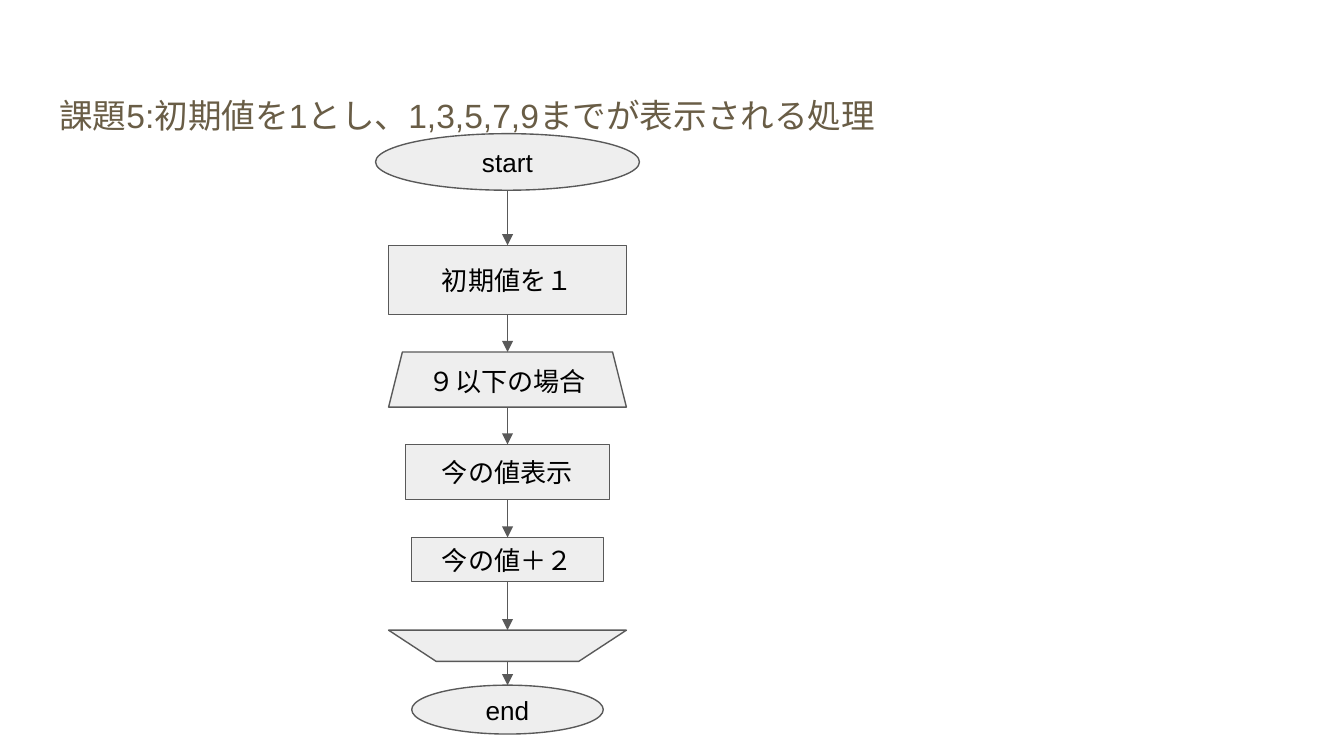
from dataclasses import dataclass

from lxml import etree
from pptx import Presentation
from pptx.dml.color import RGBColor
from pptx.enum import shapes, text
from pptx.oxml import ns
from pptx.util import Pt


@dataclass(frozen=True)
class Theme:
    font: str = "Arial"
    title_size: float = 18
    step_size: float = 14
    title_color: str = "695D46"
    step_color: str = "000000"
    fill: str = "EEEEEE"
    line: str = "595959"
    line_width: float = 0.75
    inset: float = 7.2


THEME = Theme()
SHAPE = shapes.MSO_SHAPE
CENTER_X = 271.9
TOP, BOTTOM = 0, 2  # connection sites

# Flow steps: label, shape, top, width, height
STEPS = [
    ("start", SHAPE.OVAL, 71.6, 141.4, 30.3),
    ("初期値を１", SHAPE.RECTANGLE, 131.4, 127.4, 37),
    ("９以下の場合", SHAPE.TRAPEZOID, 188.6, 127.4, 29.5),
    ("今の値表示", SHAPE.RECTANGLE, 238.1, 109, 29.5),
    ("今の値＋２", SHAPE.RECTANGLE, 288, 102.6, 23.6),
    ("", SHAPE.FLOWCHART_MANUAL_OPERATION, 337.6, 127.4, 16.7),
    ("end", SHAPE.OVAL, 367.1, 102.6, 26.2),
]


def apply(target, values):
    for name, value in values.items():
        setattr(target, name, value)


def format_frame(frame, anchor):
    margins = ("margin_left", "margin_top", "margin_right", "margin_bottom")
    apply(frame, dict.fromkeys(margins, Pt(THEME.inset)))
    apply(frame, {"word_wrap": True, "vertical_anchor": anchor,
                  "auto_size": text.MSO_AUTO_SIZE.NONE})


def format_font(font, size, color):
    apply(font, {"name": THEME.font, "size": Pt(size)})
    font.color.rgb = RGBColor.from_string(color)


def format_line(line):
    line.color.rgb = RGBColor.from_string(THEME.line)
    line.width = Pt(THEME.line_width)


def set_title(slide, wording):
    title = slide.shapes.title
    apply(title, {"left": Pt(24.5), "top": Pt(35.3),
                  "width": Pt(671), "height": Pt(45.4)})
    format_frame(title.text_frame, text.MSO_ANCHOR.TOP)
    title.text_frame.text = wording
    paragraph = title.text_frame.paragraphs[0]
    apply(paragraph, {"alignment": text.PP_ALIGN.LEFT, "line_spacing": 1.38,
                      "space_before": Pt(0), "space_after": Pt(16)})
    format_font(paragraph.font, THEME.title_size, THEME.title_color)


def add_step(slide, label, kind, top, width, height):
    step = slide.shapes.add_shape(
        kind, Pt(CENTER_X - width / 2), Pt(top), Pt(width), Pt(height))
    step.shadow.inherit = False
    step.fill.solid()
    step.fill.fore_color.rgb = RGBColor.from_string(THEME.fill)
    format_line(step.line)
    if label:
        format_frame(step.text_frame, text.MSO_ANCHOR.MIDDLE)
        step.text_frame.text = label
        paragraph = step.text_frame.paragraphs[0]
        paragraph.alignment = text.PP_ALIGN.CENTER
        format_font(paragraph.font, THEME.step_size, THEME.step_color)
    return step


def add_arrow(slide, source, target):
    arrow = slide.shapes.add_connector(
        shapes.MSO_CONNECTOR.STRAIGHT, Pt(CENTER_X), source.top + source.height,
        Pt(CENTER_X), target.top)
    if source.auto_shape_type == SHAPE.RECTANGLE:
        arrow.begin_connect(source, BOTTOM)
    if target.auto_shape_type == SHAPE.RECTANGLE:
        arrow.end_connect(target, TOP)
    format_line(arrow.line)
    # Arrowhead, and no inherited shadow
    head = etree.SubElement(arrow.line._get_or_add_ln(), ns.qn("a:tailEnd"))
    apply_xml = {"type": "triangle", "w": "med", "len": "med"}
    head.attrib.update(apply_xml)
    etree.SubElement(arrow._element.spPr, ns.qn("a:effectLst"))


def main():
    deck = Presentation()
    apply(deck, {"slide_width": Pt(720), "slide_height": Pt(405)})
    slide = deck.slides.add_slide(deck.slide_layouts[5])

    # Heading
    set_title(slide, "課題5:初期値を1とし、1,3,5,7,9までが表示される処理")

    # Flowchart, each step linked to the next
    steps = [add_step(slide, *step) for step in STEPS]
    for source, target in zip(steps, steps[1:]):
        add_arrow(slide, source, target)

    deck.save("out.pptx")


if __name__ == "__main__":
    main()
